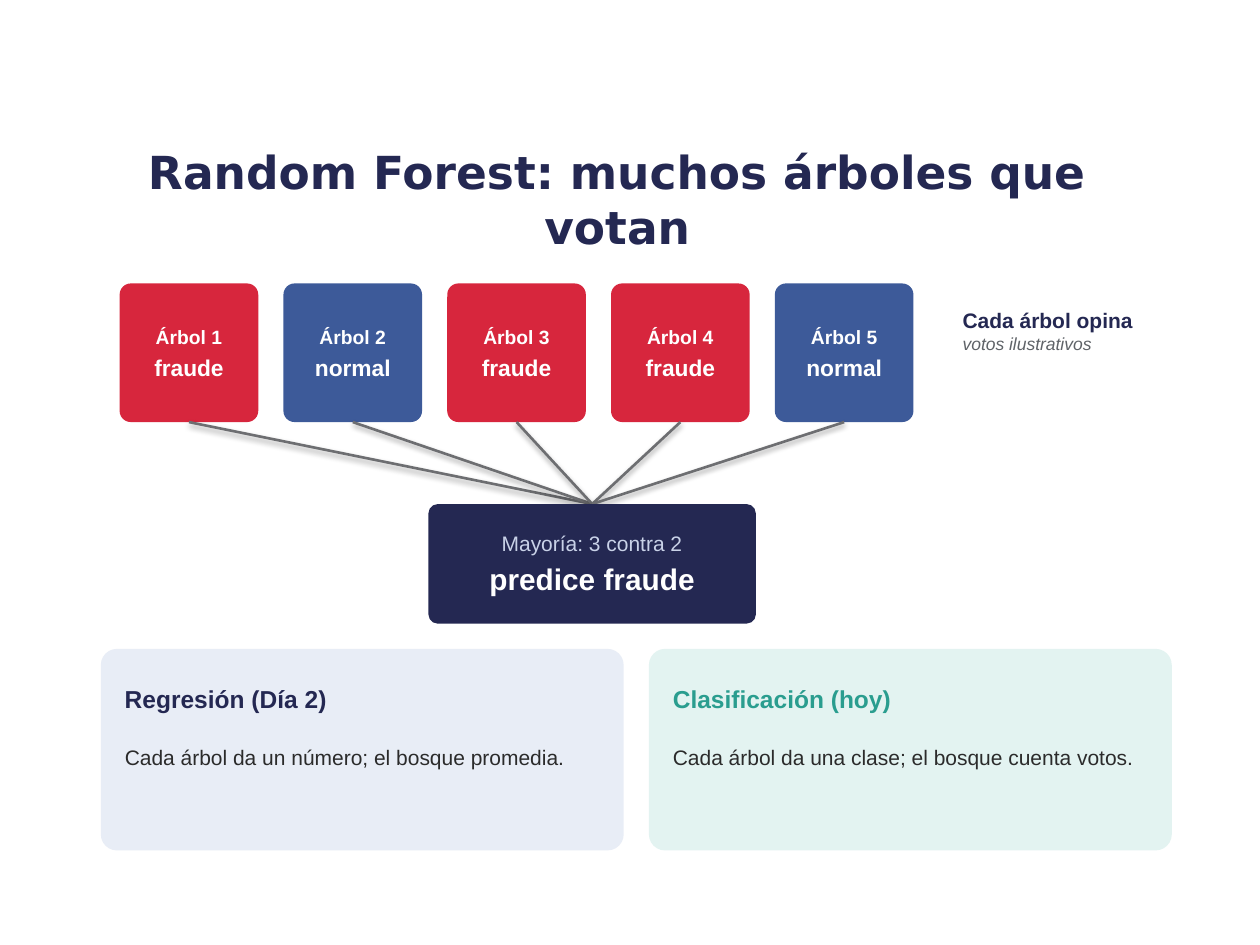
import pptx
import pptx.util
import pptx.dml.color
import pptx.enum.shapes
import pptx.enum.text

Pt = pptx.util.Pt
ALIGN = pptx.enum.text.PP_ALIGN
ANCHOR = pptx.enum.text.MSO_ANCHOR
AUTO = pptx.enum.text.MSO_AUTO_SIZE
NAVY, RED, BLUE, WHITE = "242852", "D7263D", "3D5A99", "FFFFFF"


def paint(fmt, color):
    if hasattr(fmt, "solid"):
        fmt.solid()
        fmt = fmt.fore_color
    else:
        fmt = fmt.color
    fmt.rgb = pptx.dml.color.RGBColor.from_string(color)


def write(sp, lines, inset, anchor, align, after, auto=AUTO.NONE):
    tf = sp.text_frame
    tf.word_wrap = True
    tf.auto_size = auto
    tf.vertical_anchor = anchor
    tf.margin_left = tf.margin_right = tf.margin_top = tf.margin_bottom = Pt(inset)
    for i, (text, size, color, bold, italic) in enumerate(lines):
        p = tf.add_paragraph() if i else tf.paragraphs[0]
        p.alignment = align
        p.space_after = Pt(after)
        r = p.add_run()
        r.text = text
        r.font.name = "Arial"
        r.font.size = Pt(size)
        r.font.bold = bold
        r.font.italic = italic
        paint(r.font, color)


prs = pptx.Presentation()
prs.slide_width, prs.slide_height = Pt(720), Pt(540)
s = prs.slides.add_slide(prs.slide_layouts[5])

title = s.shapes.title
title.left, title.top, title.width, title.height = Pt(54), Pt(84.96), Pt(597.6), Pt(57.6)
tf = title.text_frame
tf.word_wrap = True
tf.auto_size = AUTO.NONE
tf.vertical_anchor = ANCHOR.MIDDLE
p = tf.paragraphs[0]
p.alignment = ALIGN.CENTER
r = p.add_run()
r.text = "Random Forest: muchos árboles que votan"
r.font.name = "DejaVu Sans"
r.font.size = Pt(26)
r.font.bold = True
paint(r.font, NAVY)

tree_left, tree_top, tree_size, tree_step = 68.4, 162, 79.2, 93.6
vote_x, vote_y = 338.4, 288
votes = ["fraude", "normal", "fraude", "fraude", "normal"]
boxes = []
for i, vote in enumerate(votes):
    x = tree_left + i * tree_step
    lines = [(f"Árbol {i + 1}", 11, WHITE, True, False), (vote, 13, WHITE, True, False)]
    boxes.append((x, tree_top, tree_size, tree_size, RED if vote == "fraude" else BLUE, lines))
boxes.append((244.8, vote_y, 187.2, 68.4, NAVY, [
    ("Mayoría: 3 contra 2", 12, "C9D2E8", False, False),
    ("predice fraude", 17, WHITE, True, False),
]))
cards = [
    (57.6, "E8EDF6", NAVY, "Regresión (Día 2)", "Cada árbol da un número; el bosque promedia."),
    (370.8, "E3F3F1", "2A9D8F", "Clasificación (hoy)", "Cada árbol da una clase; el bosque cuenta votos."),
]
for x, fill, color, head, body in cards:
    boxes.append((x, 370.8, 298.8, 115.2, fill, []))

for x, y, w, h, fill, lines in boxes:
    sp = s.shapes.add_shape(pptx.enum.shapes.MSO_SHAPE.ROUNDED_RECTANGLE, Pt(x), Pt(y), Pt(w), Pt(h))
    sp.adjustments[0] = 0.08
    sp.shadow.inherit = False
    sp.line.fill.background()
    paint(sp.fill, fill)
    write(sp, lines, 5.76, ANCHOR.MIDDLE, ALIGN.CENTER, 3)
    if y == tree_top:
        line = s.shapes.add_connector(pptx.enum.shapes.MSO_CONNECTOR.STRAIGHT,
                                      Pt(x + w / 2), Pt(y + h), Pt(vote_x), Pt(vote_y))
        line.line.width = Pt(1.5)
        paint(line.line.fill, "6D6E71")

notes = [(547.2, 172.8, 122.4, 72, ANCHOR.TOP, 0, [
    ("Cada árbol opina", 12, NAVY, True, False),
    ("votos ilustrativos", 10, "5F6368", False, True),
])]
for x, fill, color, head, body in cards:
    notes.append((x + 10.8, 379.44, 280.8, 39.6, ANCHOR.MIDDLE, 4, [(head, 14, color, True, False)]))
    notes.append((x + 10.8, 422.64, 277.2, 57.6, ANCHOR.TOP, 4, [(body, 12, "2B2B2B", False, False)]))

for x, y, w, h, anchor, after, lines in notes:
    sp = s.shapes.add_textbox(Pt(x), Pt(y), Pt(w), Pt(h))
    write(sp, lines, 2.88, anchor, ALIGN.LEFT, after, AUTO.SHAPE_TO_FIT_TEXT)

prs.save("out.pptx")
